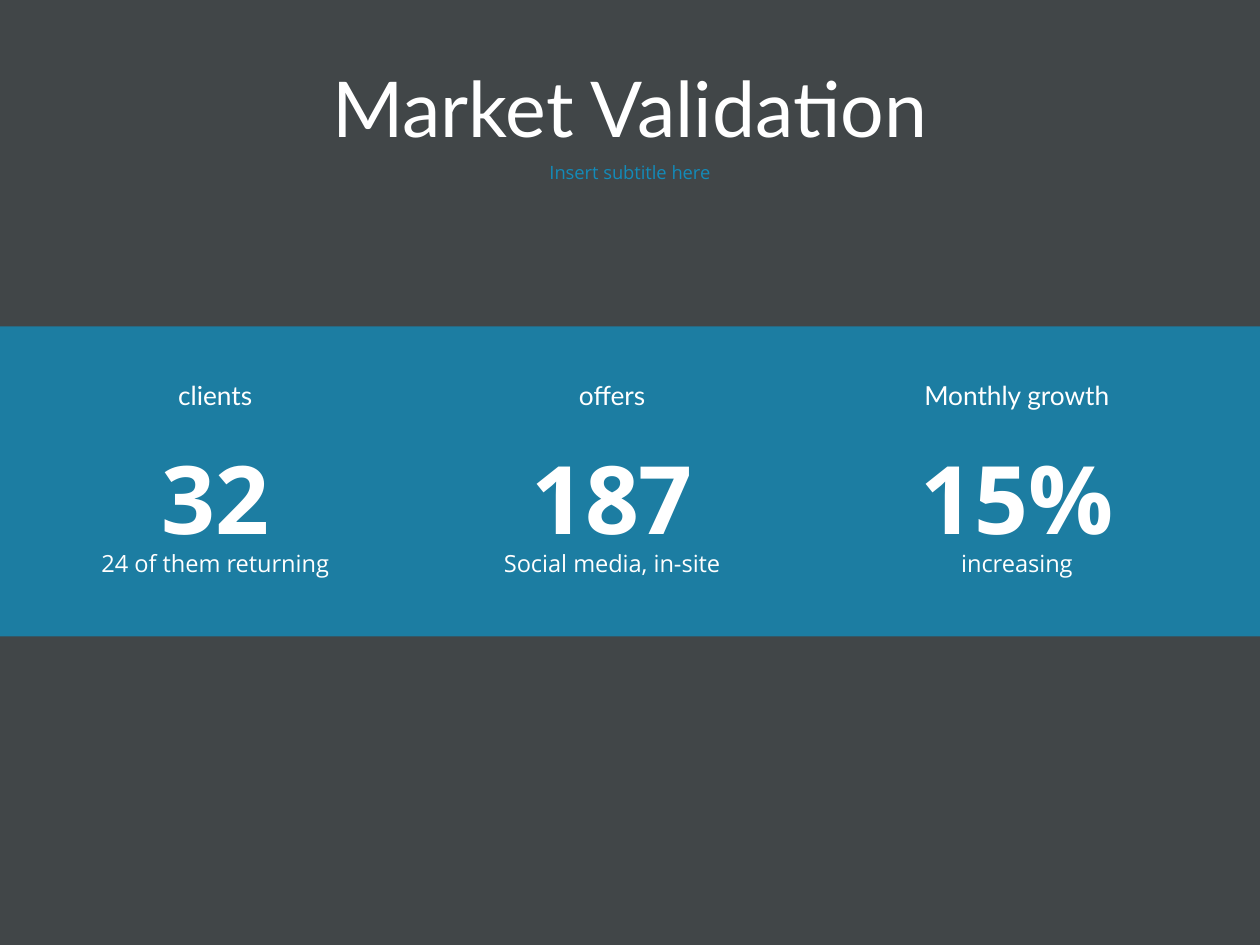
from pptx import Presentation
from pptx import util as u
from pptx.dml import color
from pptx.enum import shapes, text
from pptx.oxml import ns
from lxml import etree

COLORS = {"dark": "181E20", "blue": "138BB9", "white": "FFFFFF"}

WIDTH, HEIGHT = 25.4, 19.05

FORMATS = {
    "title": {"size": u.Pt(44), "name": "Lato"},
    "subtitle": {"size": u.Pt(10.5), "name": "Open Sans"},
    "label": {"size": u.Pt(15), "name": "Lato"},
    "figure": {"size": u.Pt(54), "name": "Open Sans", "bold": True},
    "detail": {"size": u.Pt(13.5), "name": "Open Sans"},
}

METRICS = [
    (4.34, 4.34, 6.35, "clients", "32", "24 of them returning"),
    (12.34, 12.34, 6.35, "offers", "187", "Social media, in-site"),
    (20.5, 20.5, 7.47, "Monthly growth", "15%", "increasing"),
]


def rgb(key):
    """Return the named colour."""
    return color.RGBColor.from_string(COLORS[key])


def add_band(s, top, height, fill, opacity):
    """Add a full-width translucent rectangle."""
    sp = s.shapes.add_shape(shapes.MSO_SHAPE.RECTANGLE, 0, u.Cm(top),
                            u.Cm(WIDTH), u.Cm(height))
    sp.shadow.inherit = False
    sp.line.fill.background()
    sp.fill.solid()
    sp.fill.fore_color.rgb = rgb(fill)
    clr = sp.fill._xPr.find(".//" + ns.qn("a:srgbClr"))
    etree.SubElement(clr, ns.qn("a:alpha"), val=str(opacity * 1000))


def add_text(s, content, style, center, top, width, height,
             spacing=1.0, fill="white", anchor="MIDDLE"):
    """Add a line of text centred on a horizontal position."""
    sp = s.shapes.add_textbox(u.Cm(center - width / 2), u.Cm(top),
                              u.Cm(width), u.Cm(height))
    tf = sp.text_frame
    frame = {
        "word_wrap": True,
        "vertical_anchor": getattr(text.MSO_ANCHOR, anchor),
        "margin_left": u.Cm(0.19),
        "margin_right": u.Cm(0.19),
        "margin_top": u.Cm(0.1),
        "margin_bottom": u.Cm(0.1),
    }
    for name, value in frame.items():
        setattr(tf, name, value)
    p = tf.paragraphs[0]
    p.alignment = text.PP_ALIGN.CENTER
    p.line_spacing = spacing
    r = p.add_run()
    r.text = content
    for name, value in FORMATS[style].items():
        setattr(r.font, name, value)
    r.font.color.rgb = rgb(fill)


def add_metric(s, center, label_center, label_width, label, figure, detail):
    """Add a label, a large figure and its detail line."""
    add_text(s, detail, "detail", center, 10.64, 5.59, 1.12, 1.5)
    add_text(s, label, "label", label_center, 7.47, label_width, 0.97)
    add_text(s, figure, "figure", center, 7.59, 5.59, 3.71, 1.5)


def main():
    """Build the market validation slide."""
    prs = Presentation()
    prs.slide_width, prs.slide_height = u.Cm(WIDTH), u.Cm(HEIGHT)
    s = prs.slides.add_slide(prs.slide_layouts[6])
    add_band(s, 0, HEIGHT, "dark", 82)
    add_text(s, "Market Validation", "title", WIDTH / 2, 1.02, 21.9, 2.49, 0.9)
    add_text(s, "Insert subtitle here", "subtitle", WIDTH / 2, 3.2, 21.9, 1.02,
             0.9, "blue", "TOP")
    add_band(s, 6.58, 6.25, "blue", 80)
    for metric in METRICS:
        add_metric(s, *metric)
    prs.save("out.pptx")


if __name__ == "__main__":
    main()
